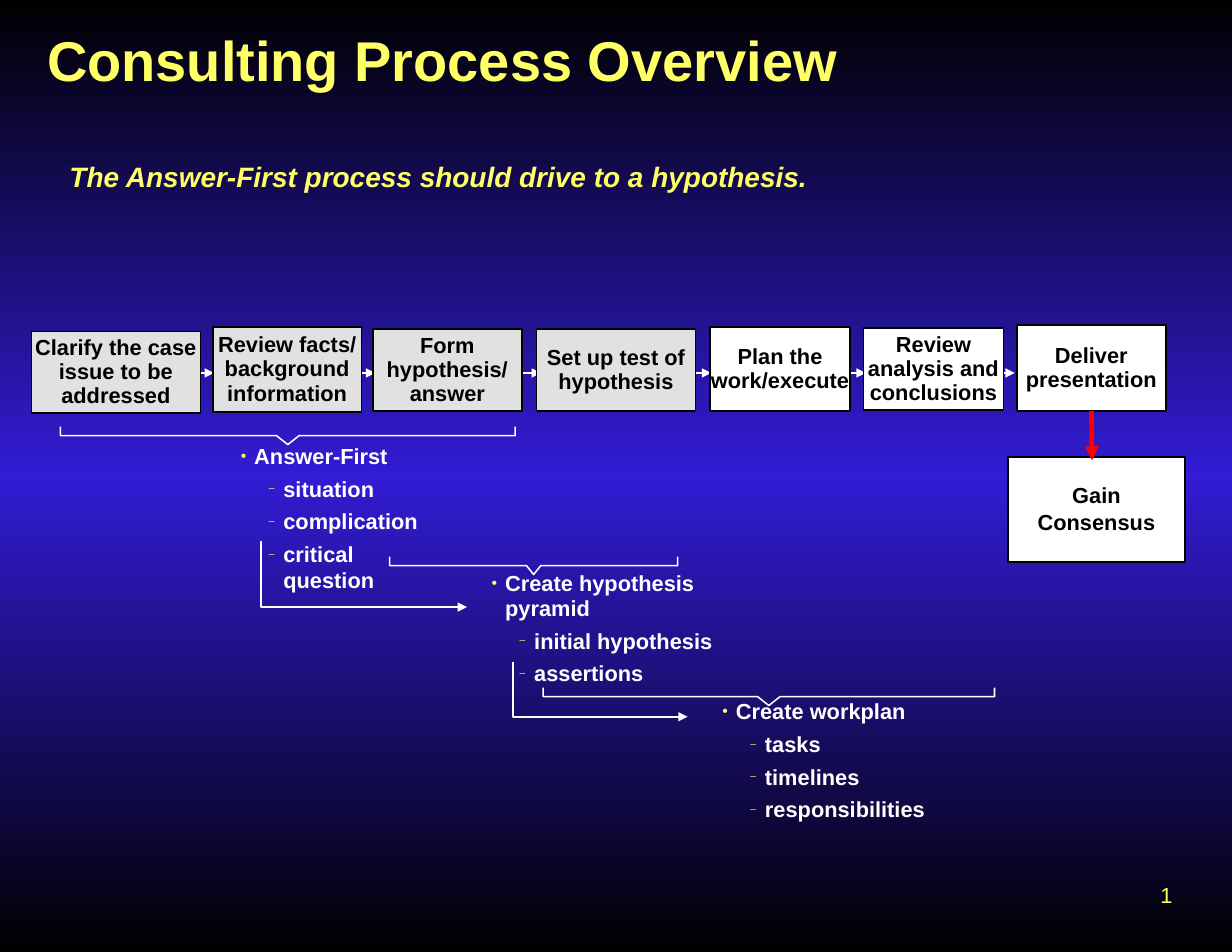
from pptx import Presentation
from pptx.dml.color import RGBColor
from pptx.enum import shapes as es, text as et
from pptx.oxml import parse_xml
from pptx.oxml.ns import nsdecls, qn
from pptx.util import Inches, Pt
from lxml import etree


class Theme:
    font = "Arial"
    yellow, white, black = "FFFF66", "FFFFFF", "000000"
    blue, grey, red = "321CD4", "E1E1E1", "FF0000"
    title, lead, body = 36, 18, 14
    tight = 0.93


# text, left, top, width, height, fill
STEPS = [
    ("Clarify the case issue to be addressed", 0.28, 2.96, 1.51, 0.73, Theme.grey),
    ("Review facts/ background information", 1.9, 2.92, 1.33, 0.76, Theme.grey),
    ("Form hypothesis/ answer", 3.33, 2.94, 1.33, 0.73, Theme.grey),
    ("Set up test of hypothesis", 4.79, 2.94, 1.42, 0.73, Theme.grey),
    ("Plan the work/execute", 6.34, 2.92, 1.25, 0.75, Theme.white),
    ("Review analysis and conclusions", 7.71, 2.93, 1.25, 0.73, Theme.white),
    ("Deliver presentation", 9.08, 2.9, 1.33, 0.77, Theme.white),
]
GOAL = ("Gain\nConsensus", 9, 4.08, 1.58, 0.94, Theme.white)
LINKS = [1.58, 3.02, 4.5, 6.02, 7.4, 8.73]
# left, top, width, height, lines
LISTS = [
    (2.05, 3.92, 1.79, 1.43,
     ["Answer-First", "situation", "complication", "critical question"]),
    (4.29, 5.06, 2.61, 1.12,
     ["Create hypothesis pyramid", "initial hypothesis", "assertions"]),
    (6.35, 6.2, 3.17, 1.2,
     ["Create workplan", "tasks", "timelines", "responsibilities"]),
]
BRACES = [(0.54, 3.81, 4.06), (3.48, 4.97, 2.57), (4.85, 6.14, 4.03)]
ELBOWS = [(2.33, 4.83, 1.84, 0.59), (4.58, 5.91, 1.56, 0.49)]


def rgb(color):
    return RGBColor.from_string(color)


def assign(item, **values):
    for name, value in values.items():
        setattr(item, name, value)


def place(shape, left, top, width, height):
    assign(shape, left=Inches(left), top=Inches(top),
           width=Inches(width), height=Inches(height))


def write(shape, lines, size, color, inset=(0, 0), gap=0, align=et.PP_ALIGN.LEFT,
          anchor=et.MSO_ANCHOR.TOP, wrap=True, bold=True, italic=False):
    """Fill a shape with paragraphs; only the first is set tight."""
    frame = shape.text_frame
    side, edge = map(Inches, inset)
    assign(frame, text="\n".join(lines), word_wrap=wrap, vertical_anchor=anchor,
           auto_size=et.MSO_AUTO_SIZE.NONE, margin_left=side, margin_right=side,
           margin_top=edge, margin_bottom=edge)
    for i, para in enumerate(frame.paragraphs):
        assign(para, alignment=align, line_spacing=1.0 if i else Theme.tight,
               space_before=Pt(gap if i else 0), space_after=Pt(0))
        assign(para.font, name=Theme.font, size=Pt(size), bold=bold, italic=italic)
        para.font.color.rgb = rgb(color)
        for run in para.runs:
            assign(run.font, name=Theme.font, size=Pt(size), bold=bold, italic=italic)
            run.font.color.rgb = rgb(color)
    return frame.paragraphs


def mark(para, char, indent, hang, scale):
    """Give a paragraph its bullet and hanging indent."""
    props = para._p.get_or_add_pPr()
    props.set("marL", str(Inches(indent)))
    props.set("indent", str(-Inches(hang)))
    tint = etree.SubElement(props, qn("a:buClr"))
    etree.SubElement(tint, qn("a:srgbClr"), val=Theme.yellow)
    etree.SubElement(props, qn("a:buSzPct"), val=str(scale * 1000))
    etree.SubElement(props, qn("a:buChar"), char=char)


def add_list(holder, left, top, width, height, lines):
    place(holder, left, top, width, height)
    paras = write(holder, lines, Theme.body, Theme.white, inset=(0.1, 0.05), gap=4.2)
    mark(paras[0], "•", 0.12, 0.12, 72)
    for para in paras[1:]:
        para.level = 1
        mark(para, "–", 0.38, 0.13, 46)


def add_box(slide, label, left, top, width, height, fill):
    box = slide.shapes.add_shape(es.MSO_SHAPE.ROUNDED_RECTANGLE, 0, 0, 0, 0)
    place(box, left, top, width, height)
    box.adjustments[0] = 0
    box.shadow.inherit = False
    box.fill.solid()
    box.fill.fore_color.rgb = rgb(fill)
    stroke(box, Theme.black)
    write(box, label.split("\n"), Theme.body, Theme.black,
          align=et.PP_ALIGN.CENTER, anchor=et.MSO_ANCHOR.MIDDLE)
    return box


def stroke(shape, color, width=1, arrow=False):
    shape.line.color.rgb = rgb(color)
    shape.line.width = Pt(width)
    if arrow:
        etree.SubElement(shape.line._get_or_add_ln(), qn("a:tailEnd"), type="triangle")


def add_arrow(slide, start, end, color, width=1):
    ends = [Inches(v) for v in start + end]
    line = slide.shapes.add_connector(es.MSO_CONNECTOR.STRAIGHT, *ends)
    stroke(line, color, width, arrow=True)
    etree.SubElement(line._element.spPr, qn("a:effectLst"))
    return line


def add_path(slide, points, arrow=False):
    first, *rest = [(Inches(x), Inches(y)) for x, y in points]
    pen = slide.shapes.build_freeform(*first)
    pen.add_line_segments(rest, close=False)
    path = pen.convert_to_shape()
    path.fill.background()
    path.shadow.inherit = False
    stroke(path, Theme.white, arrow=arrow)


def add_brace(slide, left, top, width):
    right, mid = left + width, left + width / 2
    notch, bar, tip = width * 0.025, top + 0.08, top + 0.16
    add_path(slide, [(left, top), (left, bar), (mid - notch, bar), (mid, tip),
                     (mid + notch, bar), (right, bar), (right, top)])


def add_elbow(slide, left, top, width, height):
    base = top + height
    add_path(slide, [(left, top), (left, base), (left + width, base)], arrow=True)


def paint(slide):
    """Set the vertical three-stop background."""
    stops = "".join(
        f'<a:gs pos="{pos}"><a:srgbClr val="{color}"/></a:gs>'
        for pos, color in [(0, Theme.black), (50000, Theme.blue), (100000, Theme.black)])
    slide.element.cSld.insert(0, parse_xml(
        f'<p:bg {nsdecls("p", "a")}><p:bgPr><a:gradFill><a:gsLst>{stops}</a:gsLst>'
        '<a:lin ang="5400000" scaled="0"/></a:gradFill><a:effectLst/></p:bgPr></p:bg>'))


def main():
    deck = Presentation()
    assign(deck, slide_width=Inches(11), slide_height=Inches(8.5))
    slide = deck.slides.add_slide(deck.slide_layouts.get_by_name("Comparison"))
    paint(slide)

    title, lead, *bodies = slide.placeholders
    place(title, 0.42, 0.28, 7.29, 0.82)
    write(title, ["Consulting Process Overview"], Theme.title, Theme.yellow)
    place(lead, 0.62, 1.45, 7.43, 0.28)
    write(lead, ["The Answer-First process should drive to a hypothesis."],
          Theme.lead, Theme.yellow, italic=True)
    for body, entry in zip(bodies, LISTS):
        add_list(body, *entry)

    for x in LINKS:
        add_arrow(slide, (x, 3.33), (x + 0.33, 3.33), Theme.white)
    steps = [add_box(slide, *step) for step in STEPS]
    for brace in BRACES:
        add_brace(slide, *brace)
    for elbow in ELBOWS:
        add_elbow(slide, *elbow)
    add_box(slide, *GOAL)
    drop = add_arrow(slide, (9.75, 3.69), (9.75, 4.11), Theme.red, 3)
    drop.begin_connect(steps[-1], 2)

    page = slide.shapes.add_textbox(0, 0, 0, 0)
    place(page, 10.36, 7.84, 0.11, 0.32)
    write(page, ["1"], Theme.body, Theme.yellow, inset=(0, 0.05),
          anchor=et.MSO_ANCHOR.MIDDLE, wrap=False, bold=False)
    deck.save("out.pptx")


if __name__ == "__main__":
    main()
